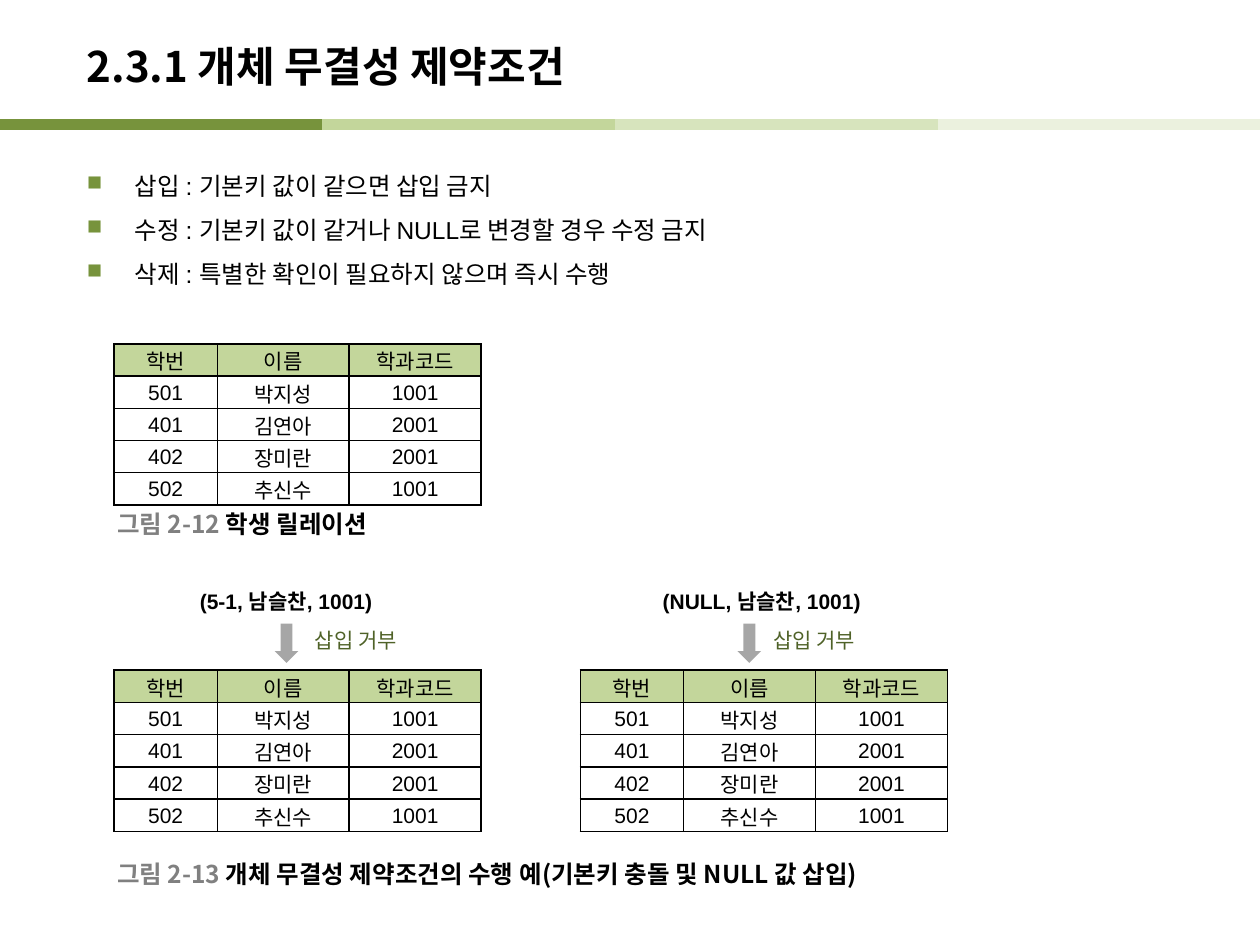
from dataclasses import dataclass

from lxml.etree import SubElement
from pptx import Presentation
from pptx.dml.color import RGBColor
from pptx.enum.shapes import MSO_CONNECTOR, MSO_SHAPE
from pptx.enum.text import MSO_ANCHOR, PP_ALIGN
from pptx.oxml.ns import qn
from pptx.util import Cm, Pt

KOREAN = "Noto Sans CJK KR"
LATIN = "Arial"
BLACK, WHITE, GRAY, ARROW_GRAY = "000000", "FFFFFF", "808080", "A6A6A6"
GREEN, LIGHT_GREEN, DARK_GREEN = "77933C", "C3D69B", "4F6228"

STUDENTS = [
    ("학번", "이름", "학과코드"),
    ("501", "박지성", "1001"),
    ("401", "김연아", "2001"),
    ("402", "장미란", "2001"),
    ("502", "추신수", "1001"),
]
COLUMN_WIDTHS = (2.08, 2.66, 2.66)
ROW_HEIGHT = 0.65

RULES = [
    "삽입 : 기본키 값이 같으면 삽입 금지",
    "수정 : 기본키 값이 같거나 NULL로 변경할 경우 수정 금지",
    "삭제 : 특별한 확인이 필요하지 않으며 즉시 수행",
]


@dataclass
class Area:
    """A rectangle in centimetres."""
    left: float
    top: float
    width: float
    height: float

    def lengths(self):
        return Cm(self.left), Cm(self.top), Cm(self.width), Cm(self.height)


@dataclass
class Style:
    size: float
    font: str = LATIN
    color: str = BLACK
    bold: bool = False


@dataclass
class Stripe:
    start: float
    end: float
    color: str


@dataclass
class Insertion:
    """A rejected tuple, shown above the table it was meant for."""
    values: str
    values_left: float
    values_width: float
    arrow_left: float
    verdict_left: float
    table_left: float


@dataclass
class Caption:
    number: str
    title: str
    top: float
    width: float


STRIPES = [
    Stripe(5.89, 12.4, LIGHT_GREEN),
    Stripe(12.4, 18.9, "D7E4BD"),
    Stripe(18.9, 25.4, "EBF1DE"),
    Stripe(0, 6.5, GREEN),
]
INSERTIONS = [
    Insertion("(5-1, 남슬찬, 1001)", 3.78, 4.29, 5.38, 6.1, 2.3),
    Insertion("(NULL, 남슬찬, 1001)", 13.11, 4.72, 14.71, 15.34, 11.7),
]
CAPTIONS = [
    Caption("그림 2-12 ", "학생 릴레이션", 10.16, 6.5),
    Caption("그림 2-13 ", "개체 무결성 제약조건의 수행 예(기본키 충돌 및 NULL 값 삽입)", 17.22, 18),
]


def rgb(color: str) -> RGBColor:
    return RGBColor.from_string(color)


def style_paragraph(para, style: Style) -> None:
    font = para.font
    font.size, font.bold, font.name = Pt(style.size), style.bold, style.font
    font.color.rgb = rgb(style.color)
    defaults = para._p.pPr.find(qn("a:defRPr"))
    SubElement(defaults, qn("a:ea"), typeface=KOREAN)


def add_text(slide, area: Area, lines: list, style: Style,
             anchor=MSO_ANCHOR.TOP, wrap: bool = True) -> list:
    """Add a text box and return its paragraphs."""
    frame = slide.shapes.add_textbox(*area.lengths()).text_frame
    frame.word_wrap, frame.vertical_anchor = wrap, anchor
    frame.text = "\n".join(lines)
    for para in frame.paragraphs:
        style_paragraph(para, style)
    return list(frame.paragraphs)


def add_bullet(para) -> None:
    properties = para._p.pPr
    properties.set("marL", str(Cm(0.97)))
    properties.set("indent", str(-Cm(0.97)))
    defaults = properties.find(qn("a:defRPr"))
    color = SubElement(properties, qn("a:buClr"))
    SubElement(color, qn("a:srgbClr"), val=GREEN)
    SubElement(properties, qn("a:buSzPct"), val="85000")
    SubElement(properties, qn("a:buChar"), char="■")
    properties.append(defaults)


def add_stripe(slide, stripe: Stripe) -> None:
    line = slide.shapes.add_connector(
        MSO_CONNECTOR.STRAIGHT, Cm(stripe.start), Cm(2.51), Cm(stripe.end), Cm(2.51))
    line.line.width = Pt(6)
    line.line.color.rgb = rgb(stripe.color)
    SubElement(line._element.spPr, qn("a:effectLst"))


def add_borders(cell) -> None:
    properties = cell._tc.get_or_add_tcPr()
    for side in ("lnL", "lnR", "lnT", "lnB"):
        border = SubElement(properties, qn(f"a:{side}"), w=str(Pt(1)))
        fill = SubElement(border, qn("a:solidFill"))
        SubElement(fill, qn("a:srgbClr"), val=BLACK)


def add_student_table(slide, left: float, top: float) -> None:
    area = Area(left, top, sum(COLUMN_WIDTHS), ROW_HEIGHT * len(STUDENTS))
    table = slide.shapes.add_table(
        len(STUDENTS), len(COLUMN_WIDTHS), *area.lengths()).table
    table.first_row = table.horz_banding = False
    for column, width in zip(table.columns, COLUMN_WIDTHS):
        column.width = Cm(width)
    for row, values in enumerate(STUDENTS):
        for column, value in enumerate(values):
            cell = table.cell(row, column)
            cell.text = value
            cell.vertical_anchor = MSO_ANCHOR.MIDDLE
            cell.margin_left = cell.margin_right = cell.margin_top = Cm(0.03)
            cell.margin_bottom = 0
            add_borders(cell)
            cell.fill.solid()
            cell.fill.fore_color.rgb = rgb(WHITE if row else LIGHT_GREEN)
            para = cell.text_frame.paragraphs[0]
            para.alignment = PP_ALIGN.CENTER
            style_paragraph(para, Style(12))


def add_insertion(slide, insertion: Insertion) -> None:
    add_student_table(slide, insertion.table_left, 13.51)
    arrow = slide.shapes.add_shape(
        MSO_SHAPE.RIGHT_ARROW, *Area(insertion.arrow_left, 12.73, 0.79, 0.48).lengths())
    arrow.rotation = 90
    arrow.shadow.inherit = False
    arrow.fill.solid()
    arrow.fill.fore_color.rgb = rgb(ARROW_GRAY)
    arrow.line.fill.background()
    add_text(slide, Area(insertion.values_left, 11.73, insertion.values_width, 0.76),
             [insertion.values], Style(12, bold=True), wrap=False)
    add_text(slide, Area(insertion.verdict_left, 12.52, 3.51, 0.76),
             ["삽입 거부"], Style(12, KOREAN, DARK_GREEN))


def add_caption(slide, caption: Caption) -> None:
    para, = add_text(slide, Area(2.11, caption.top, caption.width, 0.79),
                     [caption.number], Style(14, KOREAN, GRAY, True), MSO_ANCHOR.MIDDLE)
    span = para.add_run()
    span.text = caption.title
    span.font.color.rgb = rgb(BLACK)


def main() -> None:
    deck = Presentation()
    deck.slide_width, deck.slide_height = Cm(25.4), Cm(19.05)
    page = deck.slides.add_slide(deck.slide_layouts[6])
    for stripe in STRIPES:
        add_stripe(page, stripe)
    add_text(page, Area(1.5, 0.56, 21, 1.52), ["2.3.1 개체 무결성 제약조건"],
             Style(24, KOREAN, bold=True), MSO_ANCHOR.MIDDLE)
    for para in add_text(page, Area(1.5, 3.02, 22.4, 15.19), RULES, Style(14)):
        para.line_spacing = 1.5
        add_bullet(para)
    add_student_table(page, 2.3, 6.93)
    for insertion in INSERTIONS:
        add_insertion(page, insertion)
    for caption in CAPTIONS:
        add_caption(page, caption)
    deck.save("out.pptx")


if __name__ == "__main__":
    main()
